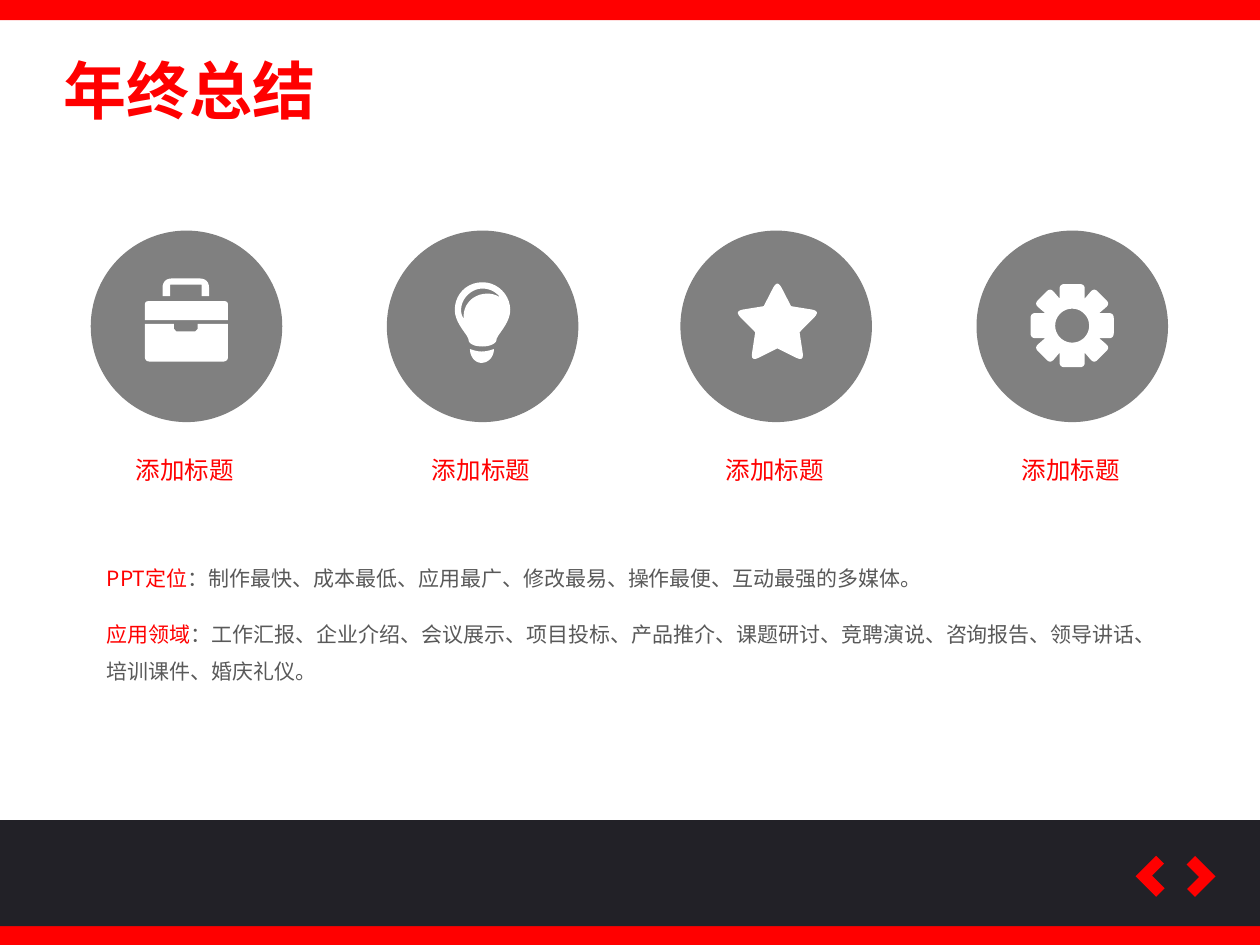
import math
from dataclasses import dataclass

from lxml import etree
from pptx import Presentation
from pptx import util as u
from pptx.dml.color import RGBColor
from pptx.enum import shapes, text
from pptx.oxml import ns

PX = 9144  # EMU per px, 100 px to the inch


@dataclass(frozen=True)
class Theme:
    font: str = "Noto Sans CJK SC"
    red: str = "FF0000"
    dark: str = "222127"
    grey: str = "808080"
    ink: str = "595959"
    white: str = "FFFFFF"
    title: int = 36
    caption: int = 14
    body: int = 12


THEME = Theme()
CIRCLE_LEFTS = (72, 307, 540, 775)
CIRCLE_SIZE = 152


def rounded(*corners):
    """Outline through (x, y[, cut]) corners, each rounded off over its cut length."""
    points = []
    for i, (x, y, *cut) in enumerate(corners):
        if not cut:
            points.append((x, y))
            continue
        ends = []
        for nx, ny, *_ in (corners[i - 1], corners[(i + 1) % len(corners)]):
            share = cut[0] / math.hypot(nx - x, ny - y)
            ends.append((x + (nx - x) * share, y + (ny - y) * share))
        (ax, ay), (bx, by) = ends
        for t in (step / 6 for step in range(7)):
            a, c, b = (1 - t) ** 2, 2 * t * (1 - t), t * t
            points.append((a * ax + c * x + b * bx, a * ay + c * y + b * by))
    return points


def curved(start, *curves):
    """Outline of cubic curves, each given as two controls and an end."""
    points = [start]
    for curve in curves:
        controls = (points[-1], *curve)
        for t in (step / 10 for step in range(1, 11)):
            weights = [math.comb(3, k) * t**k * (1 - t) ** (3 - k) for k in range(4)]
            points.append(tuple(sum(w * p[axis] for w, p in zip(weights, controls))
                                for axis in (0, 1)))
    return points


def turned(x, y, angle, cx, cy):
    cos, sin = math.cos(angle), math.sin(angle)
    return cx + x * cos - y * sin, cy + x * sin + y * cos


def briefcase():
    handle = rounded((129, 235), (129, 221, 8), (166, 221, 8), (166, 235),
                     (160, 235), (160, 226), (135, 226), (135, 235))
    case = rounded((115, 257), (138, 257), (138, 261), (140, 263), (155, 263),
                   (157, 261), (157, 257), (181, 257), (181, 287, 4), (115, 287, 4))
    lid = rounded((115, 239, 3), (181, 239, 3), (181, 254), (115, 254))
    return [[handle], [case], [lid]]


def bulb():
    base = curved((373, 277), ((373, 283), (377, 288), (382, 288)),
                  ((388, 288), (392, 283), (392, 277)),
                  ((392, 277), (387, 279), (382, 279)),
                  ((378, 279), (373, 277), (373, 277)))
    glass = curved((383, 224), ((370, 224), (361, 234), (361, 246)),
                   ((361, 257), (372, 266), (372, 270)),
                   ((372, 272), (375, 275), (383, 275)),
                   ((390, 275), (394, 272), (394, 270)),
                   ((394, 266), (405, 257), (405, 246)),
                   ((405, 234), (395, 224), (383, 224)))
    shine = curved((387, 233), ((376, 233), (368, 241), (368, 251)),
                   ((368, 252), (368, 253), (368, 253)),
                   ((367, 251), (366, 249), (366, 246)),
                   ((366, 237), (374, 229), (383, 229)),
                   ((389, 229), (394, 232), (397, 236)),
                   ((394, 234), (390, 233), (387, 233)))
    return [[base], [glass, shine]]


def star(cx=617, cy=258, tip=36, notch=18.5):
    corners = []
    for k in range(5):
        angle = math.radians(72 * k)
        corners.append((*turned(0, -tip, angle, cx, cy), 7))
        corners.append(turned(0, -notch, angle + math.pi / 5, cx, cy))
    return [[rounded(*corners)]]


def gear(cx=851, cy=258.5, hole=13.5):
    upright = [(-10, -21.5), (-10, -33, 4), (10, -33, 4), (10, -21.5)]
    diagonal = [(-9, -33.5, 4), (9, -33.5, 4)]
    corners = [(*turned(x, y, math.radians(45 * k), cx, cy), *cut)
               for k in range(8)
               for x, y, *cut in (diagonal if k % 2 else upright)]
    axle = [turned(hole, 0, math.radians(-10 * k), cx, cy) for k in range(36)]
    return [[rounded(*corners), axle]]


def write(paragraph, content, *, size, color, bold=False):
    run = paragraph.add_run()
    run.text = content
    font = run.font
    font.size, font.bold, font.name = u.Pt(size), bold, THEME.font
    font.color.rgb = RGBColor.from_string(color)
    east_asian = etree.SubElement(run._r.get_or_add_rPr(), ns.qn("a:ea"))
    east_asian.set("typeface", THEME.font)


class Deck:
    def __init__(self, theme):
        self.theme = theme
        self.deck = Presentation()
        self.deck.slide_width, self.deck.slide_height = 1000 * PX, 750 * PX
        self.slide = self.deck.slides.add_slide(self.deck.slide_layouts[5])

    def paint(self, shape, color):
        shape.shadow.inherit = False
        shape.fill.solid()
        shape.fill.fore_color.rgb = RGBColor.from_string(color)
        shape.line.fill.background()

    def shape(self, kind, box, color, rotation=0, adjustments=()):
        shape = self.slide.shapes.add_shape(kind, *(v * PX for v in box))
        self.paint(shape, color)
        shape.rotation = rotation
        for i, value in enumerate(adjustments):
            shape.adjustments[i] = value

    def icon(self, parts):
        """Draw each part from its contours; several parts form a group."""
        home = self.slide.shapes
        if len(parts) > 1:
            home = home.add_group_shape().shapes
        for contours in parts:
            scaled = [[(x * PX, y * PX) for x, y in line] for line in contours]
            builder = home.build_freeform(*scaled[0][0], scale=1.0)
            builder.add_line_segments(scaled[0][1:], close=True)
            for line in scaled[1:]:
                builder.move_to(*line[0])
                builder.add_line_segments(line[1:], close=True)
            self.paint(builder.convert_to_shape(), self.theme.white)

    def fill_frame(self, holder, runs, size, wrap, spacing=None, bold=False):
        frame = holder.text_frame
        frame.word_wrap = wrap
        frame.auto_size = text.MSO_AUTO_SIZE.SHAPE_TO_FIT_TEXT
        frame.vertical_anchor = text.MSO_ANCHOR.TOP
        paragraph = frame.paragraphs[0]
        paragraph.alignment = text.PP_ALIGN.LEFT
        if spacing:
            paragraph.line_spacing = spacing
        for content, color in runs:
            write(paragraph, content, size=size, color=color, bold=bold)

    def title(self, box, content):
        title = self.slide.shapes.title
        title.left, title.top, title.width, title.height = (v * PX for v in box)
        self.fill_frame(title, [(content, self.theme.red)], self.theme.title, False, bold=True)

    def text(self, box, runs, size, wrap=True, spacing=None):
        holder = self.slide.shapes.add_textbox(*(v * PX for v in box))
        self.fill_frame(holder, runs, size, wrap, spacing)


def main():
    deck = Deck(THEME)
    kinds = shapes.MSO_SHAPE
    for top, height, color in ((734, 16, THEME.red), (651, 84, THEME.dark), (0, 16, THEME.red)):
        deck.shape(kinds.RECTANGLE, (0, top, 1000, height), color)
    for left, rotation in ((906, 45), (937, 225)):
        deck.shape(kinds.CORNER, (left, 684, 23, 23), THEME.red, rotation, (0.415, 0.386))

    deck.title((40, 36, 222, 71), "年终总结")
    for left, icon in zip(CIRCLE_LEFTS, (briefcase, bulb, star, gear)):
        deck.shape(kinds.OVAL, (left, 183, CIRCLE_SIZE, CIRCLE_SIZE), THEME.grey)
        deck.icon(icon())
        deck.text((left + 26, 356, 99, 34), [("添加标题", THEME.red)], THEME.caption, wrap=False)

    notes = (
        ((75, 434, 692, 40), "PPT定位",
         "：制作最快、成本最低、应用最广、修改最易、操作最便、互动最强的多媒体。"),
        ((75, 478, 857, 71), "应用领域",
         "：工作汇报、企业介绍、会议展示、项目投标、产品推介、课题研讨、竞聘演说、"
         "咨询报告、领导讲话、培训课件、婚庆礼仪。"),
    )
    for box, lead, detail in notes:
        deck.text(box, [(lead, THEME.red), (detail, THEME.ink)], THEME.body, spacing=1.5)
    deck.deck.save("out.pptx")


if __name__ == "__main__":
    main()
